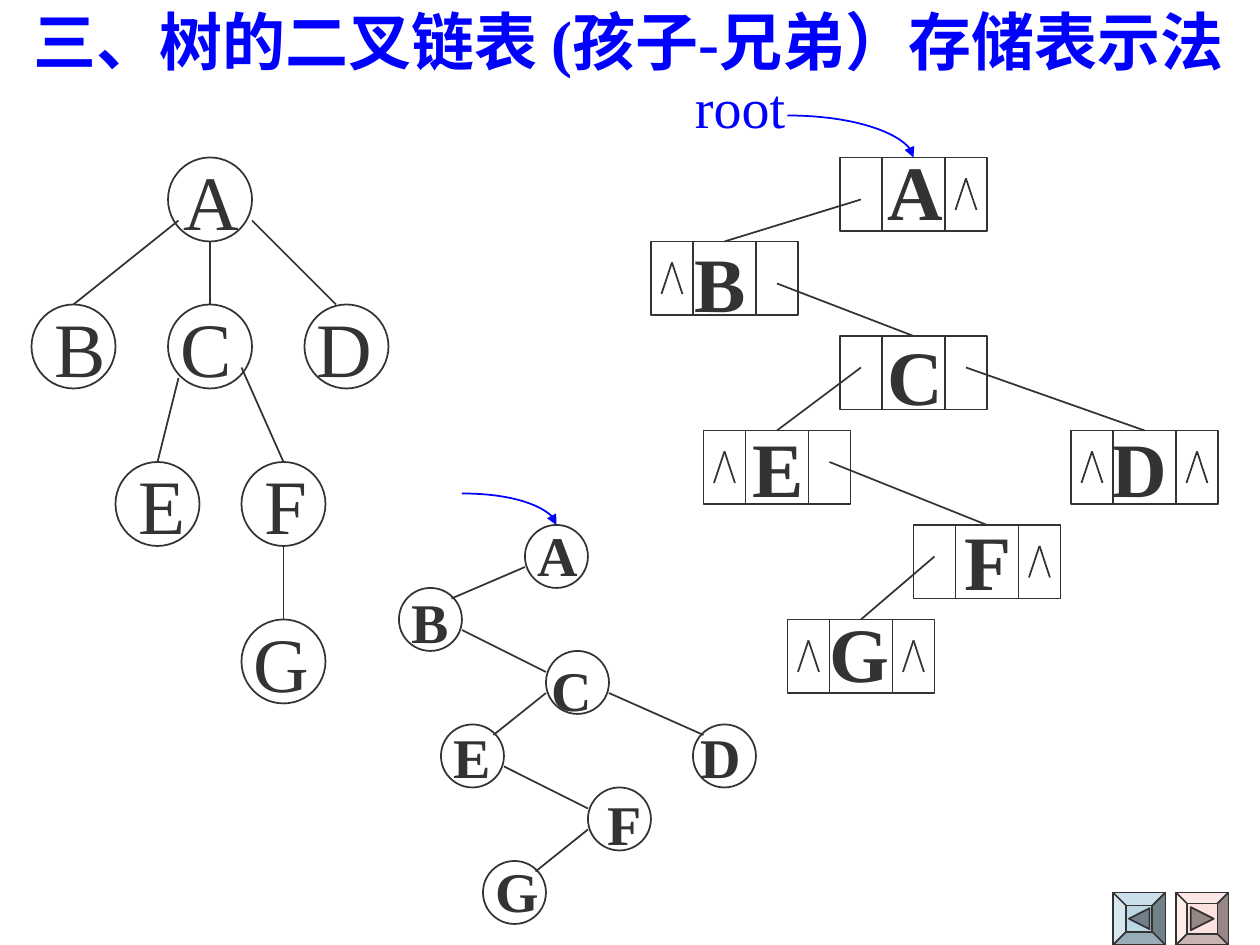
from lxml.etree import SubElement
from pptx import Presentation
from pptx.dml.color import RGBColor
from pptx.enum.shapes import MSO_CONNECTOR, MSO_SHAPE
from pptx.enum.text import MSO_ANCHOR
from pptx.oxml.ns import qn
from pptx.util import Pt

# Content, all lengths in points
HUE = {"ink": "333333", "blue": "0000FF", "prev": "BDD7E5", "next": "FBE2DF",
       "prev_tip": "71818A", "next_tip": "978886"}
FONT = "Times New Roman"
TITLE = "三、树的二叉链表 (孩子-兄弟）存储表示法"

# Tree: name, left, top, label shift
TREE = [("A", 96, 90, 2), ("B", 18, 174, 6), ("C", 96, 174, 0),
        ("D", 174, 174, 0), ("E", 66, 264, 6), ("F", 138, 264, 6),
        ("G", 138, 354, 0)]
TREE_EDGES = [(144, 126, 192, 174), (102, 126, 42, 174), (102, 216, 90, 264),
              (120, 138, 120, 174), (138, 210, 162, 264), (162, 312, 162, 354)]

# Linked list: left, top, empty pointer cells
CELLS = {"A": (480, 90, "R"), "B": (372, 138, "L"), "C": (480, 192, ""),
         "D": (612, 246, "LR"), "E": (402, 246, "L"), "F": (522, 300, "R"),
         "G": (450, 354, "LR")}
MID = {"L": 12, "R": 72}
LINKS = [("A", "L", 24, "B"), ("B", "R", 24, "C"), ("C", "L", 18, "E"),
         ("C", "R", 18, "D"), ("E", "R", 18, "F"), ("F", "L", 18, "G")]

# Binary tree
NODES = {"A": (300, 300), "B": (228, 336), "C": (312, 372), "D": (396, 414),
         "E": (252, 414), "F": (336, 450), "G": (276, 492)}
NODE_EDGES = [(264, 360, 312, 384), (348, 396, 402, 420),
              (288, 438, 336, 462), (312, 396, 282, 420),
              (300, 324, 258, 342), (336, 474, 306, 498)]

# Letter rows: (tab stop, letter)
LIST_ROWS = [[(110, "A")], [(0, "B")], [(110, "C")], [(33, "E"), (238.3, "D")],
             [(154, "F")], [(77, "G")]]
NODE_ROWS = [[(72, "A")], [(0, "B")], [(80, "C")], [(24, "E"), (165.3, "D")],
             [(112, "F")], [(48, "G")]]

# Buttons: name, left, bevel, triangle
BUTTONS = [("prev", 636, 0.25, [(645.1, 525), (656.9, 519), (656.9, 531)]),
           ("next", 672, 0.21, [(680.4, 518.4), (693.6, 525), (680.4, 531.6)])]

deck = Presentation()
deck.slide_width, deck.slide_height = Pt(720), Pt(540)
slide = deck.slides.add_slide(deck.slide_layouts[6])
parts = slide.shapes


def rgb(hue):
    return RGBColor.from_string(HUE[hue])


def style(shape, fill=None):
    shape.shadow.inherit = False
    if fill:
        shape.fill.solid()
        shape.fill.fore_color.rgb = rgb(fill)
    else:
        shape.fill.background()
    shape.line.color.rgb = rgb("ink")
    shape.line.width = Pt(1)
    return shape


def shape(kind, x, y, w, h, fill=None):
    return style(parts.add_shape(kind, Pt(x), Pt(y), Pt(w), Pt(h)), fill)


def line(x1, y1, x2, y2, hue="ink", kind=MSO_CONNECTOR.STRAIGHT):
    wire = parts.add_connector(kind, Pt(x1), Pt(y1), Pt(x2), Pt(y2))
    wire.line.color.rgb = rgb(hue)
    wire.line.width = Pt(1)
    SubElement(wire._element.spPr, qn("a:effectLst"))
    return wire


def arrow(x1, y1, x2, y2, goal):
    wire = line(x1, y1, x2, y2, "blue", MSO_CONNECTOR.CURVE)
    wire.end_connect(goal, 0)
    props = wire._element.spPr
    props.find(qn("a:prstGeom")).set("prst", "curvedConnector2")
    SubElement(props.find(qn("a:ln")), qn("a:tailEnd"), type="triangle")


def text(rows, x, y, w, h, size, hue="ink", bold=False):
    frame = parts.add_textbox(Pt(x), Pt(y), Pt(w), Pt(h)).text_frame
    frame.word_wrap = True
    frame.vertical_anchor = MSO_ANCHOR.TOP
    frame.margin_right = 0
    for i, row in enumerate(rows):
        para = frame.add_paragraph() if i else frame.paragraphs[0]
        para.line_spacing = Pt(size * 1.2)
        stops = [stop for stop, _ in row if stop]
        if stops:
            tabs = SubElement(para._p.get_or_add_pPr(), qn("a:tabLst"))
            for stop in stops:
                SubElement(tabs, qn("a:tab"), pos=str(int(Pt(stop))), algn="l")
        for stop, word in row:
            run = para.add_run()
            run.text = "\t" + word if stop else word
            run.font.name, run.font.size = FONT, Pt(size)
            run.font.bold = bold
            run.font.color.rgb = rgb(hue)


# Navigation buttons
for name, x, bevel, tip in BUTTONS:
    shape(MSO_SHAPE.BEVEL, x, 510, 30, 30, name).adjustments[0] = bevel
    pen = parts.build_freeform(Pt(tip[0][0]), Pt(tip[0][1]))
    pen.add_line_segments([(Pt(a), Pt(b)) for a, b in tip[1:]], close=True)
    style(pen.convert_to_shape(), name + "_tip")

# Tree
for name, x, y, shift in TREE:
    shape(MSO_SHAPE.OVAL, x, y, 48, 48)
    text([[(0, name)]], x + shift, y - 6, 46, 60, 44)
for edge in TREE_EDGES:
    line(*edge)

# Linked list
text(LIST_ROWS, 390, 78.5, 318, 324, 44, bold=True)
boxes = {}
for name, (x, y, empty) in CELLS.items():
    boxes[name] = shape(MSO_SHAPE.RECTANGLE, x, y, 84, 42)
    for step in (24, 60):
        line(x + step, y, x + step, y + 42)
    for side in empty:
        mid = x + MID[side]
        for foot in (-6, 6):
            line(mid, y + 12, mid + foot, y + 30)
for name, side, drop, goal in LINKS:
    x, y, _ = CELLS[name]
    gx, gy, _ = CELLS[goal]
    line(x + MID[side], y + drop, gx + 42, gy).end_connect(boxes[goal], 0)
arrow(450, 66, 522, 90, boxes["A"])
text([[(0, "root")]], 390, 38, 65.5, 46, 32, "blue")

# Binary tree
text(NODE_ROWS, 228, 294, 203, 237.6, 32, bold=True)
rings = {name: shape(MSO_SHAPE.OVAL, x, y, 36, 36)
         for name, (x, y) in NODES.items()}
for edge in NODE_EDGES:
    line(*edge)
arrow(264, 282, 318, 300, rings["A"])

# Title
text([[(0, TITLE)]], 12, -2, 708, 93.6, 36, "blue", True)

deck.save("out.pptx")
